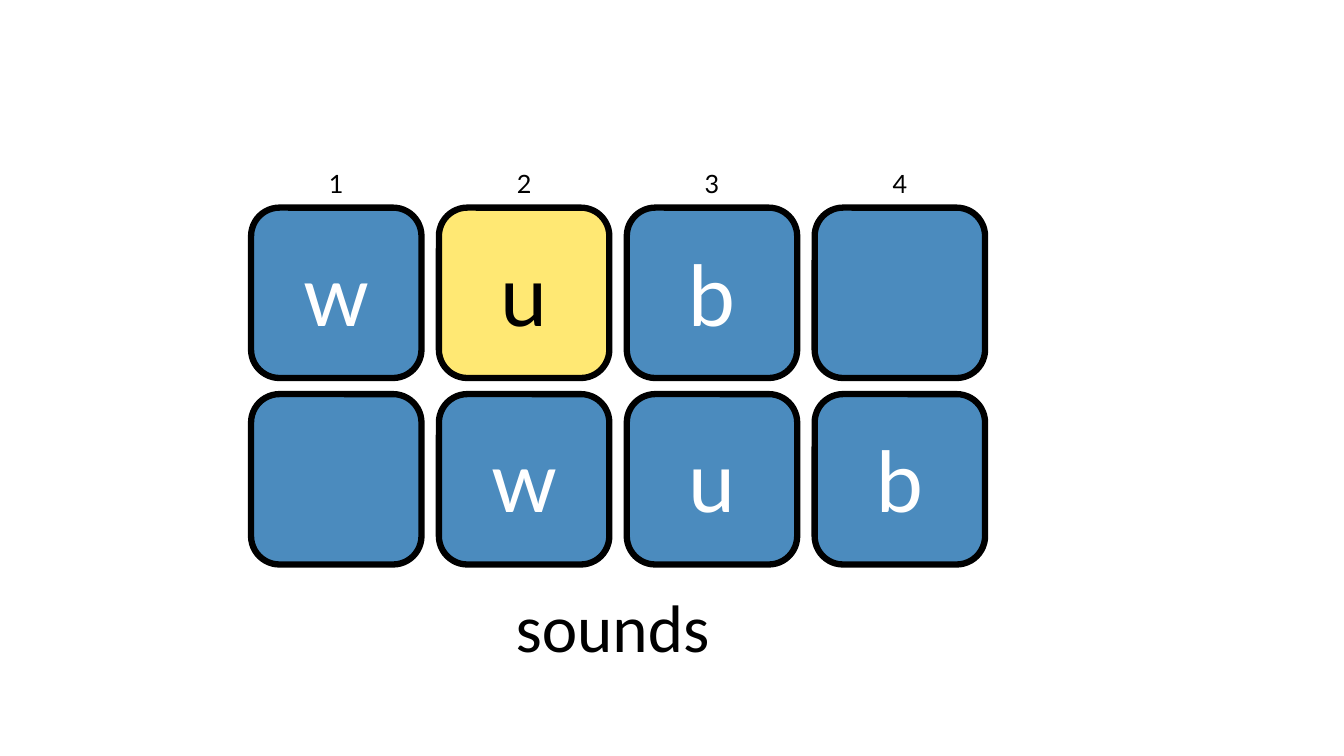
"""Build a slide of two rows of sound tiles under numbered columns."""
from dataclasses import dataclass

from pptx import Presentation
from pptx.dml.color import RGBColor
from pptx.enum.shapes import MSO_SHAPE as Preset
from pptx.enum.text import MSO_ANCHOR as Anchor, MSO_AUTO_SIZE as AutoSize, PP_ALIGN as Align
from pptx.slide import Slide
from pptx.text.text import TextFrame
from pptx.util import Inches, Pt


@dataclass(frozen=True)
class Theme:
    """Colours, fonts and type sizes of the slide."""
    blue: RGBColor = RGBColor(0x4B, 0x8B, 0xBE)
    yellow: RGBColor = RGBColor(0xFF, 0xE8, 0x73)
    black: RGBColor = RGBColor(0, 0, 0)
    white: RGBColor = RGBColor(0xFF, 0xFF, 0xFF)
    tile_font: str = "Lato"
    caption_font: str = "Calibri"
    letter_size: int = 60
    number_size: int = 18
    caption_size: int = 48
    outline: float = 4.5


@dataclass(frozen=True)
class Tile:
    """A lettered square at a grid position."""
    row: int
    column: int
    letter: str = ""
    highlighted: bool = False


@dataclass(frozen=True)
class Label:
    """A line of centred text in its own box."""
    text: str
    left: float
    top: float
    width: float
    height: float
    font: str
    size: int
    wrap: bool


THEME = Theme()
COLUMNS = 4
GRID_LEFT, GRID_TOP = 2.49, 2.06
TILE_SIZE = 1.69
COLUMN_STEP = (8.08 - GRID_LEFT) / (COLUMNS - 1)
ROW_STEP = 1.85
NUMBER_WIDTH = 0.35

TILES = [
    Tile(0, 0, "w"), Tile(0, 1, "u", highlighted=True), Tile(0, 2, "b"), Tile(0, 3),
    Tile(1, 0), Tile(1, 1, "w"), Tile(1, 2, "u"), Tile(1, 3, "b"),
]
NUMBERS = [
    Label(str(column + 1),
          GRID_LEFT + column * COLUMN_STEP + (TILE_SIZE - NUMBER_WIDTH) / 2,
          1.62, NUMBER_WIDTH, 0.4, THEME.tile_font, THEME.number_size, wrap=False)
    for column in range(COLUMNS)
]
CAPTION = Label("sounds", 2.63, 5.76, 6.89, 0.91,
                THEME.caption_font, THEME.caption_size, wrap=True)


def write(frame: TextFrame, text: str, font: str, size: int, color: RGBColor) -> None:
    """Put one centred paragraph in a text frame."""
    paragraph = frame.paragraphs[0]
    paragraph.text = text
    paragraph.alignment = Align.CENTER
    paragraph.font.name = font
    paragraph.font.size = Pt(size)
    paragraph.font.color.rgb = color


def draw_tile(slide: Slide, tile: Tile) -> None:
    """Draw a rounded square with its letter."""
    square = slide.shapes.add_shape(
        Preset.ROUNDED_RECTANGLE,
        Inches(GRID_LEFT + tile.column * COLUMN_STEP),
        Inches(GRID_TOP + tile.row * ROW_STEP),
        Inches(TILE_SIZE), Inches(TILE_SIZE))
    square.shadow.inherit = False
    square.fill.solid()
    square.fill.fore_color.rgb = THEME.yellow if tile.highlighted else THEME.blue
    square.line.color.rgb = THEME.black
    square.line.width = Pt(THEME.outline)
    square.text_frame.vertical_anchor = Anchor.MIDDLE
    if tile.letter:
        color = THEME.black if tile.highlighted else THEME.white
        write(square.text_frame, tile.letter, THEME.tile_font, THEME.letter_size, color)


def draw_label(slide: Slide, label: Label) -> None:
    """Draw a text box that fits its text."""
    frame = slide.shapes.add_textbox(
        Inches(label.left), Inches(label.top),
        Inches(label.width), Inches(label.height)).text_frame
    frame.word_wrap = label.wrap
    frame.auto_size = AutoSize.SHAPE_TO_FIT_TEXT
    write(frame, label.text, label.font, label.size, THEME.black)


def main() -> None:
    """Build and save the presentation."""
    deck = Presentation()
    deck.slide_width, deck.slide_height = Inches(13.33), Inches(7.5)
    slide = deck.slides.add_slide(deck.slide_layouts.get_by_name("Blank"))
    for tile in TILES:
        draw_tile(slide, tile)
    for label in [*NUMBERS, CAPTION]:
        draw_label(slide, label)
    deck.save("out.pptx")


if __name__ == "__main__":
    main()
